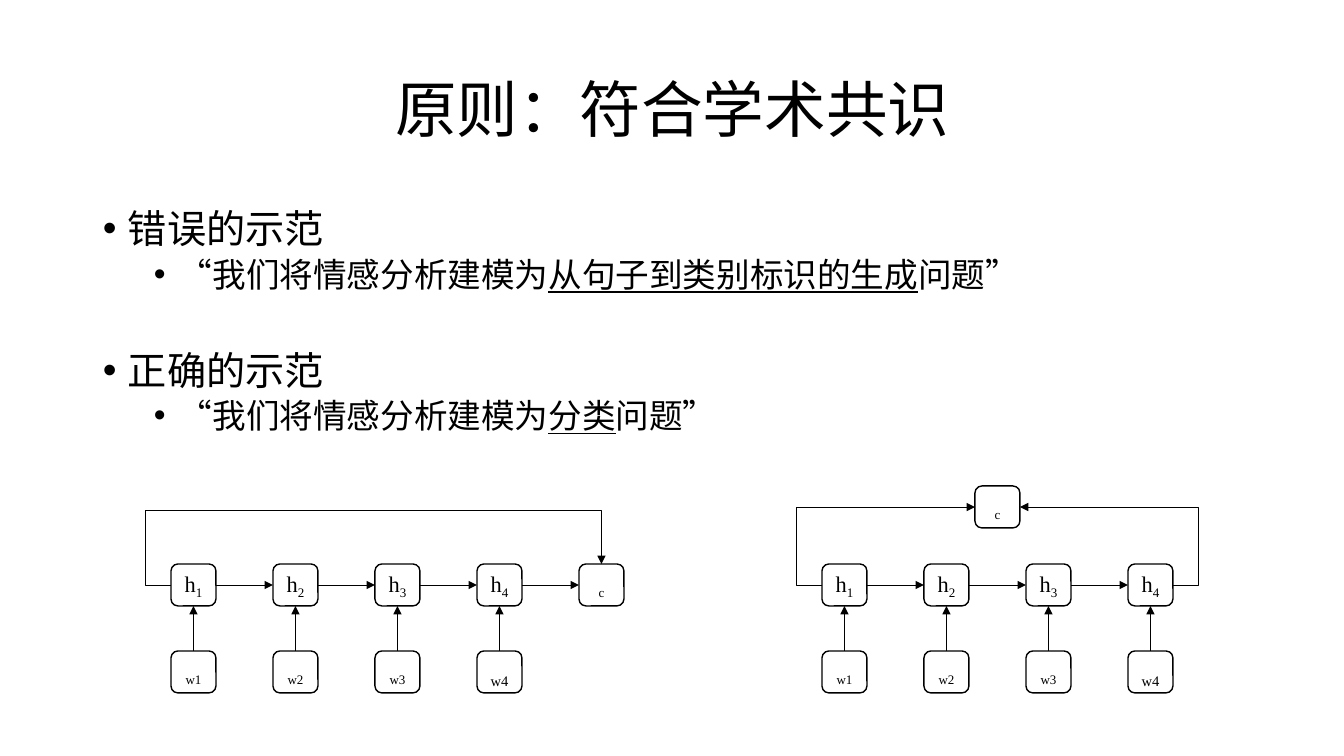
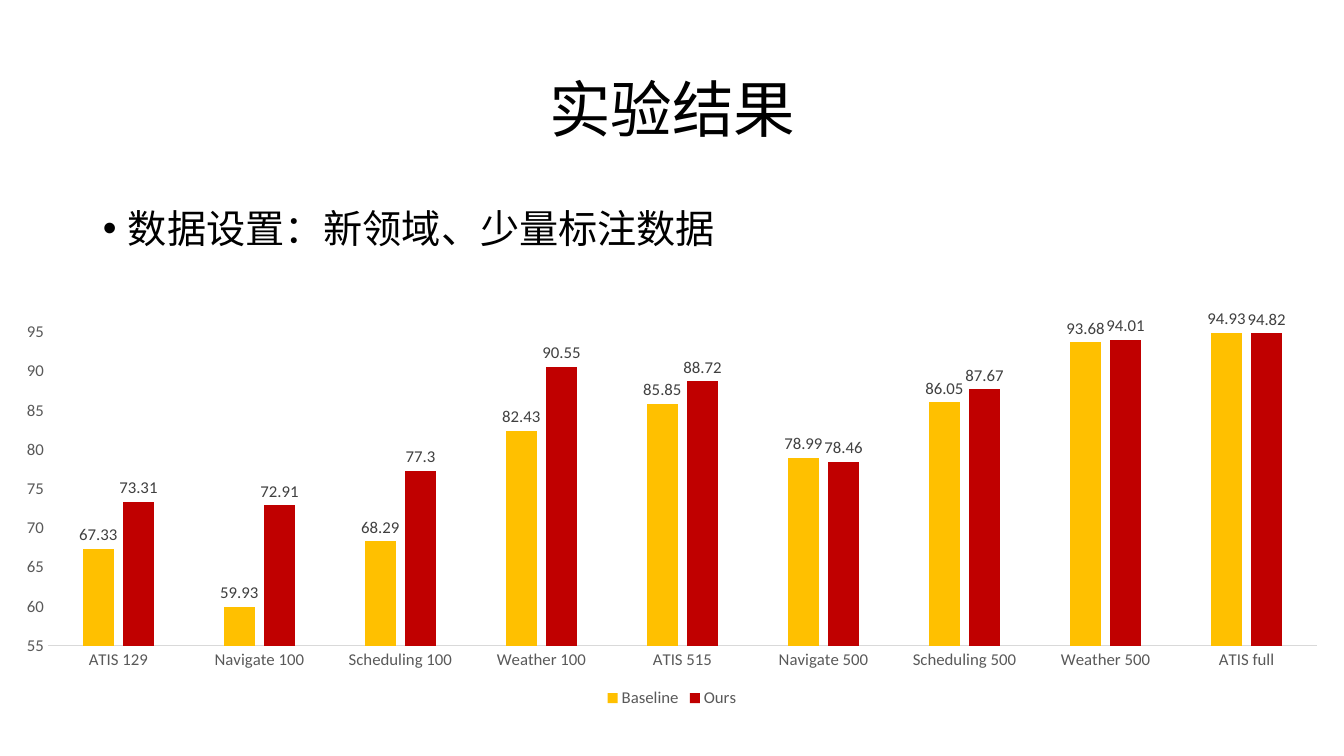
from lxml import etree
from pptx import Presentation
from pptx.chart.data import CategoryChartData
from pptx.dml.color import RGBColor
from pptx.enum.chart import XL_CHART_TYPE, XL_LABEL_POSITION, XL_LEGEND_POSITION, XL_TICK_MARK
from pptx.enum.shapes import MSO_CONNECTOR, MSO_SHAPE
from pptx.enum.text import MSO_ANCHOR, PP_ALIGN
from pptx.oxml.ns import qn
from pptx.util import Pt

SLIDE_W, SLIDE_H = 1344, 756
EMU_PER_PX = 12192000 / SLIDE_W
COLORS = {
    "text": "000000", "axis_text": "595959", "label_text": "404040",
    "axis_line": "D9D9D9", "baseline": "FFC000", "ours": "C00000",
}
CJK, SERIF, SANS = "Noto Sans CJK SC", "Times New Roman", "Calibri"
TOP, LEFT, BOTTOM, RIGHT = range(4)
MARGIN, CONTENT_W = 93, 1159
NODE_W, NODE_H, NODE_STEP = 45, 42, 102
HIDDEN_Y, WORD_Y = 564, 651
LEVELS = [
    {"size": 28, "line": 32, "left": 25},
    {"size": 24, "line": 25, "left": 76},
]
HANGING = 25


def px(n):
    return round(n * EMU_PER_PX)


def color(key):
    return RGBColor.from_string(COLORS[key])


def style_font(font, size, name, key):
    font.size = Pt(size)
    font.name = name
    font.color.rgb = color(key)


def add_run(p, text, size, name, underline=False, subscript=False):
    r = p.add_run()
    r.text = text
    style_font(r.font, size, name, "text")
    rPr = r.font._element
    etree.SubElement(rPr, qn("a:ea")).set("typeface", name)
    if underline:
        r.font.underline = True
    if subscript:
        rPr.set("baseline", "-25000")


def add_titled_slide(prs, title):
    s = prs.slides.add_slide(prs.slide_layouts[5])
    sp = s.shapes.title
    sp.left, sp.top, sp.width, sp.height = px(MARGIN), px(40), px(CONTENT_W), px(146)
    tf = sp.text_frame
    tf.vertical_anchor = MSO_ANCHOR.MIDDLE
    p = tf.paragraphs[0]
    p.alignment = PP_ALIGN.CENTER
    p.line_spacing = 0.9
    add_run(p, title, 44, CJK)
    return s


def add_bullets(s, height, items):
    sp = s.shapes.add_textbox(px(MARGIN), px(202), px(CONTENT_W), px(height))
    tf = sp.text_frame
    tf.word_wrap = True
    for i, (level, space_before, runs) in enumerate(items):
        p = tf.paragraphs[0] if i == 0 else tf.add_paragraph()
        style = LEVELS[level]
        pPr = p._p.get_or_add_pPr()
        pPr.set("marL", str(px(style["left"])))
        pPr.set("indent", str(-px(HANGING)))
        etree.SubElement(pPr, qn("a:buFont")).set("typeface", "Arial")
        etree.SubElement(pPr, qn("a:buChar")).set("char", "•")
        p.level = level
        p.line_spacing = Pt(style["line"])
        p.space_before = Pt(space_before)
        for text, underline in runs:
            add_run(p, text, style["size"], CJK, underline=underline)


def add_node(s, x, y, *runs, size=16):
    sp = s.shapes.add_shape(MSO_SHAPE.ROUNDED_RECTANGLE, px(x), px(y), px(NODE_W), px(NODE_H))
    sp.shadow.inherit = False
    sp.fill.background()
    sp.line.color.rgb = color("text")
    sp.line.width = Pt(1)
    tf = sp.text_frame
    tf.word_wrap = False
    tf.vertical_anchor = MSO_ANCHOR.MIDDLE
    p = tf.paragraphs[0]
    p.alignment = PP_ALIGN.CENTER
    for text, subscript in runs:
        add_run(p, text, size, SERIF, subscript=subscript)
    return sp


def add_arrow(s, source, source_site, target, target_site, kind=MSO_CONNECTOR.STRAIGHT):
    cx = s.shapes.add_connector(kind, 0, 0, 0, 0)
    cx.begin_connect(source, source_site)
    cx.end_connect(target, target_site)
    cx.line.color.rgb = color("text")
    cx.line.width = Pt(0.5)
    etree.SubElement(cx.line._get_or_add_ln(), qn("a:tailEnd")).set("type", "triangle")
    etree.SubElement(cx._element.spPr, qn("a:effectLst"))
    return cx


def add_bent_arrow(s, source, source_site, target, target_site, preset, adjustments):
    cx = add_arrow(s, source, source_site, target, target_site, MSO_CONNECTOR.ELBOW)
    spPr = cx._element.spPr
    if source_site == LEFT:
        xfrm = spPr.find(qn("a:xfrm"))
        xfrm.attrib.pop("flipV", None)
        xfrm.set("rot", "10800000")
        xfrm.set("flipH", "1")
    geom = spPr.find(qn("a:prstGeom"))
    geom.set("prst", preset)
    guides = geom.find(qn("a:avLst"))
    if guides is None:
        guides = etree.SubElement(geom, qn("a:avLst"))
    names = ["adj1", "adj2"]
    for name, value in zip(names, adjustments):
        guide = etree.SubElement(guides, qn("a:gd"))
        guide.set("name", name)
        guide.set("fmla", f"val {value}")


def add_encoder(s, left):
    hidden = []
    for i in range(4):
        x = left + i * NODE_STEP
        h = add_node(s, x, HIDDEN_Y, ("h", False), (str(i + 1), True))
        w = add_node(s, x, WORD_Y, (f"w{i + 1}", True), size=18 if i == 3 else 16)
        add_arrow(s, w, TOP, h, BOTTOM)
        if hidden:
            add_arrow(s, hidden[-1], RIGHT, h, LEFT)
        hidden.append(h)
    return hidden


def add_generation_diagram(s, left):
    hidden = add_encoder(s, left)
    label = add_node(s, left + 4 * NODE_STEP, HIDDEN_Y, ("c", True))
    add_arrow(s, hidden[-1], RIGHT, label, LEFT)
    add_bent_arrow(s, hidden[0], LEFT, label, TOP, "bentConnector4", [-5900, 357600])


def add_classification_diagram(s, left):
    hidden = add_encoder(s, left)
    label = add_node(s, left + 3 * NODE_STEP // 2, 486, ("c", True))
    for node, site, target_site in [(hidden[0], LEFT, LEFT), (hidden[-1], RIGHT, RIGHT)]:
        add_bent_arrow(s, node, site, label, target_site, "bentConnector3", [-16500])


def add_result_chart(s, categories, series):
    data = CategoryChartData(number_format="General")
    data.categories = categories
    for name, _, values in series:
        data.add_series(name, values)
    chart = s.shapes.add_chart(
        XL_CHART_TYPE.COLUMN_CLUSTERED, 0, px(309), px(SLIDE_W), px(403), data).chart
    style_font(chart.font, 10, SANS, "text")
    chart.has_title = False
    chart.has_legend = True
    chart.legend.position = XL_LEGEND_POSITION.BOTTOM
    chart.legend.include_in_layout = False
    style_font(chart.legend.font, 12, SANS, "axis_text")

    for axis in (chart.category_axis, chart.value_axis):
        axis.has_major_gridlines = False
        axis.major_tick_mark = XL_TICK_MARK.NONE
        axis.minor_tick_mark = XL_TICK_MARK.NONE
        style_font(axis.tick_labels.font, 12, SANS, "axis_text")
    chart.category_axis.format.line.color.rgb = color("axis_line")
    chart.category_axis.format.line.width = Pt(0.75)
    chart.value_axis.format.line.fill.background()
    chart.value_axis.minimum_scale = 55
    chart.value_axis.maximum_scale = 95
    chart.value_axis.major_unit = 5

    plot = chart.plots[0]
    plot.vary_by_categories = False
    plot.gap_width = 219
    plot.overlap = -27
    for bars, (_, key, _) in zip(plot.series, series):
        bars.format.fill.solid()
        bars.format.fill.fore_color.rgb = color(key)
        labels = bars.data_labels
        labels.show_value = True
        labels.position = XL_LABEL_POSITION.OUTSIDE_END
        style_font(labels.font, 12, SANS, "label_text")


def build_principle_slide(prs):
    s = add_titled_slide(prs, "原则：符合学术共识")
    opening, closing = ("“我们将情感分析建模为", False), ("问题”", False)
    add_bullets(s, 250, [
        (0, 0, [("错误的示范", False)]),
        (1, 5, [opening, ("从句子到类别标识的生成", True), closing]),
        (0, 39, [("正确的示范", False)]),
        (1, 5, [opening, ("分类", True), closing]),
    ])
    add_generation_diagram(s, 171)
    add_classification_diagram(s, 822)


def build_results_slide(prs):
    s = add_titled_slide(prs, "实验结果")
    add_bullets(s, 60, [(0, 0, [("数据设置：新领域、少量标注数据", False)])])
    add_result_chart(
        s,
        ["ATIS 129", "Navigate 100", "Scheduling 100", "Weather 100", "ATIS 515",
         "Navigate 500", "Scheduling 500", "Weather 500", "ATIS full"],
        [("Baseline", "baseline",
          [67.33, 59.93, 68.29, 82.43, 85.85, 78.99, 86.05, 93.68, 94.93]),
         ("Ours", "ours",
          [73.31, 72.91, 77.3, 90.55, 88.72, 78.46, 87.67, 94.01, 94.82])])


def main():
    prs = Presentation()
    prs.slide_width, prs.slide_height = px(SLIDE_W), px(SLIDE_H)
    build_principle_slide(prs)
    build_results_slide(prs)
    prs.save("out.pptx")


if __name__ == "__main__":
    main()
